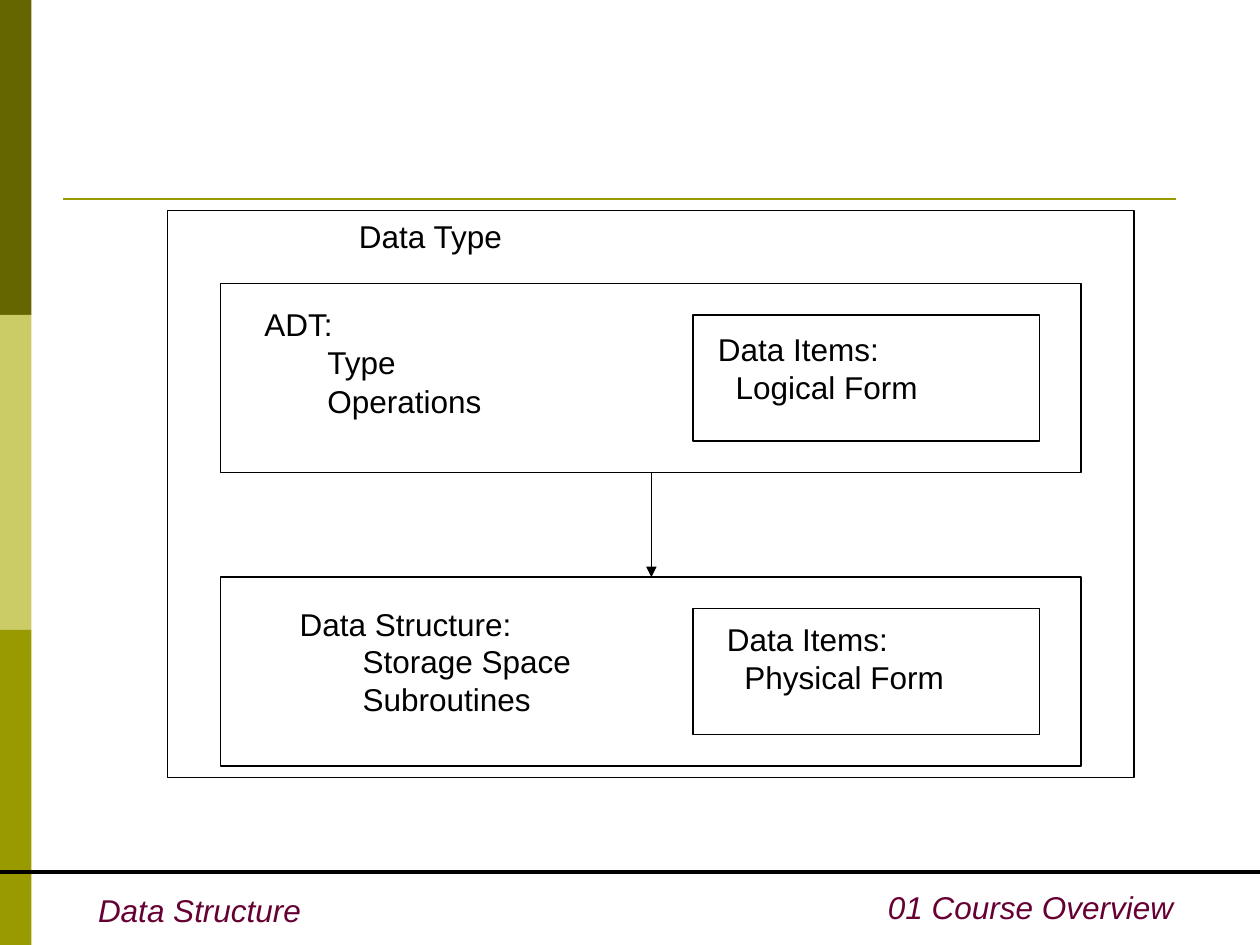
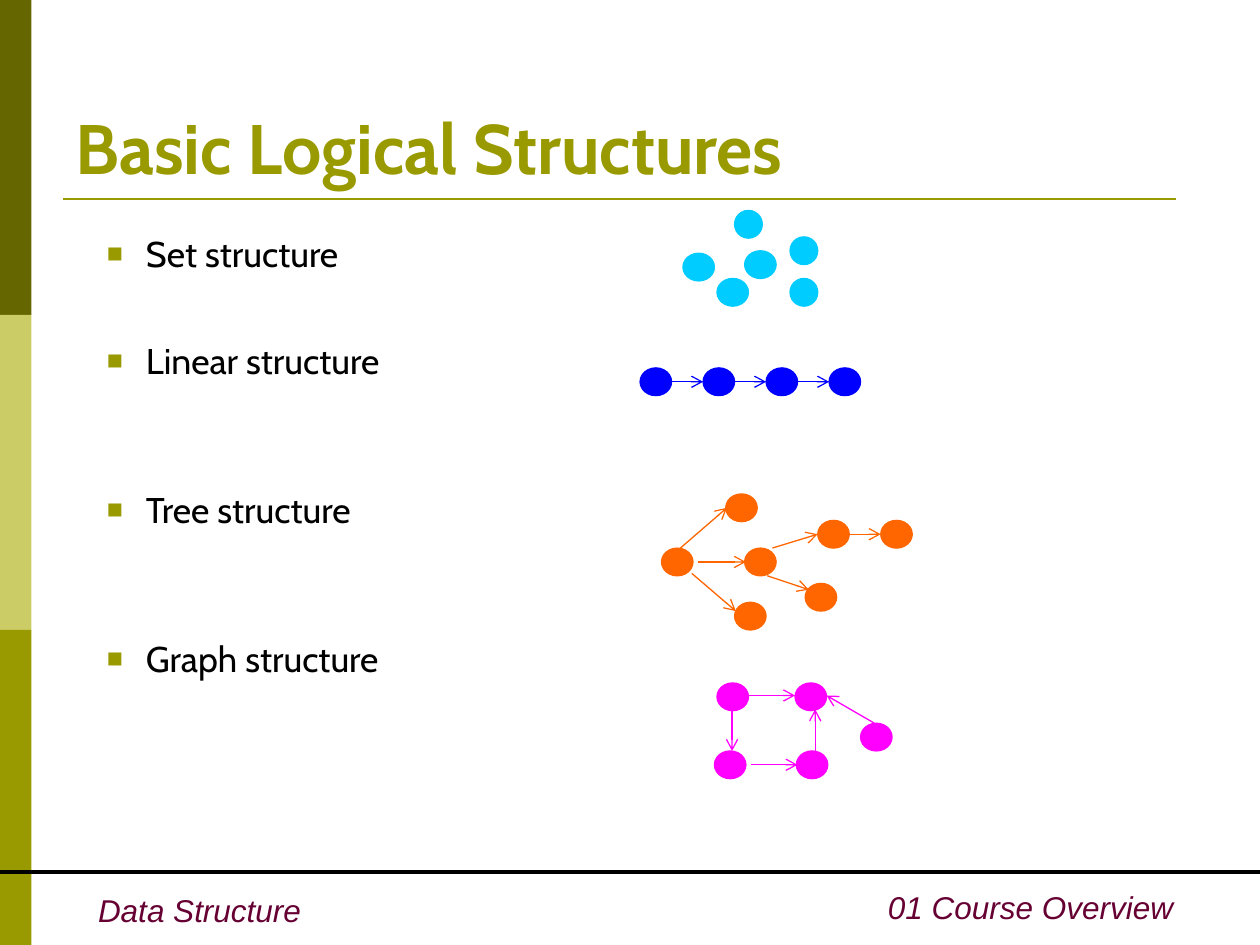
import pptx
import pptx.util
import pptx.dml.color
import pptx.enum.shapes
import pptx.enum.text
import pptx.oxml.ns
import lxml.etree

Inches = pptx.util.Inches
Pt = pptx.util.Pt
SHAPE = pptx.enum.shapes.MSO_SHAPE
ALIGN = pptx.enum.text.PP_ALIGN
qn = pptx.oxml.ns.qn

HUES = {
    "dark": "666600", "pale": "CCCC66", "olive": "999900",
    "wine": "660033", "black": "000000", "cyan": "00CCFF",
    "blue": "0000FF", "orange": "FF6600", "pink": "FF00FF",
}
SANS, HEAD = "Arial", "Cabin"

BANDS = ["dark", "pale", "olive"]
RULES = [((0.5, 1.58), (9.33, 1.58), "olive", 1.5),
         ((0, 6.92), (10, 6.92), "black", 2.25)]
FOOTS = [("Data Structure", (0.68, 7.02, 1.9, 0.4), ALIGN.LEFT),
         ("01 Course Overview", (5.24, 7, 4.17, 0.4), ALIGN.RIGHT)]

FRAMES = [(1.33, 1.67, 7.67, 4.5)]
for top in (2.25, 4.58):
    FRAMES += [(1.75, top, 6.83, 1.5), (5.5, top + 0.25, 2.75, 1)]
FLOW = ((5.17, 3.75), (5.17, 4.58))
NOTES = [
    ((2.75, 1.67, 4.67, 0.4), ["Data Type"], 0, 1, 0),
    ((2, 2.5, 2.75, 0.87), ["ADT:", "Type", "Operations"], 0.5, 0.5, 11.2),
    ((5.6, 2.7, 2.74, 0.56), ["Data Items:", "Logical Form"], 0.14, 0.5, 11.2),
    ((5.67, 5, 2.75, 0.56), ["Data Items:", "Physical Form"], 0.14, 0.5, 11.2),
    ((2.28, 4.75, 2.4, 1),
     ["Data Structure:", "Storage Space", "Subroutines"], 0.5, 1, 0),
]

TITLE = "Basic Logical Structures"
KINDS = [("Set structure", 0), ("Linear structure", 36.5),
         ("Tree structure", 61), ("Graph structure", 60.5)]
DOT = (0.25, 0.22)
CHAIN = [5.08 + 0.5 * i for i in range(4)]
GRAPHS = [
    ("blue", [(x, 2.92) for x in CHAIN],
     [((x + DOT[0], 3.03), (x + 0.5, 3.03)) for x in CHAIN[:-1]]),
    ("orange",
     [(5.25, 4.35), (5.76, 3.92), (5.91, 4.35), (5.83, 4.78),
      (6.49, 4.13), (6.39, 4.63), (6.99, 4.13)],
     [((5.54, 4.46), (5.92, 4.46)), ((5.4, 4.35), (5.77, 4.03)),
      ((5.49, 4.55), (5.84, 4.85)), ((6.13, 4.35), (6.49, 4.24)),
      ((6.09, 4.57), (6.42, 4.68)), ((6.74, 4.24), (6.99, 4.24))]),
    ("pink",
     [(5.67, 5.96), (5.69, 5.42), (6.32, 5.96), (6.31, 5.42), (6.83, 5.74)],
     [((5.96, 6.07), (6.33, 6.07)), ((5.94, 5.52), (6.31, 5.52)),
      ((5.81, 5.63), (5.81, 5.96)), ((6.47, 5.96), (6.47, 5.63)),
      ((6.94, 5.74), (6.56, 5.52))]),
    ("cyan",
     [(5.91, 1.99), (5.69, 2.21), (5.42, 2.01),
      (6.27, 2.21, 0.22), (6.27, 1.88, 0.22), (5.83, 1.67, 0.22)], []),
]


def tint(hue):
    return pptx.dml.color.RGBColor.from_string(HUES[hue])


def place(rect):
    return [Inches(v) for v in rect]


def draw(home, kind, rect, fill=None, edge=None):
    shape = home.add_shape(kind, *place(rect))
    shape.shadow.inherit = False
    if fill:
        shape.fill.solid()
        shape.fill.fore_color.rgb = tint(fill)
    else:
        shape.fill.background()
    if edge:
        shape.line.color.rgb = tint(edge)
        shape.line.width = Pt(0.75)
    else:
        shape.line.fill.background()


def link(home, start, end, hue, width=0.75, tip=None):
    line = home.add_connector(pptx.enum.shapes.MSO_CONNECTOR.STRAIGHT,
                              *place(start + end))
    line.line.color.rgb = tint(hue)
    line.line.width = Pt(width)
    if tip:
        lxml.etree.SubElement(line.line._get_or_add_ln(), qn("a:tailEnd"), type=tip)
    lxml.etree.SubElement(line._element.spPr, qn("a:effectLst"))


def write(para, text, size, hue="black", face=SANS, bold=False, slant=False):
    run = para.add_run()
    run.text = text
    font = run.font
    font.size, font.name, font.bold, font.italic = Pt(size), face, bold, slant
    font.color.rgb = tint(hue)


def panel(slide, rect):
    frame = slide.shapes.add_textbox(*place(rect)).text_frame
    frame.word_wrap = True
    return frame


def lines(frame, items):
    for i, item in enumerate(items):
        yield i, frame.add_paragraph() if i else frame.paragraphs[0], item


def indent(para, left, hang=0):
    props = para._p.get_or_add_pPr()
    props.set("marL", str(Inches(left)))
    props.set("indent", str(-Inches(hang)))
    return props


def bullet(para):
    props = indent(para, 0.81, 0.31)
    color = lxml.etree.SubElement(props, qn("a:buClr"))
    lxml.etree.SubElement(color, qn("a:srgbClr"), val=HUES["olive"])
    lxml.etree.SubElement(props, qn("a:buSzPct"), val="75000")
    lxml.etree.SubElement(props, qn("a:buFont"), typeface=SANS)
    lxml.etree.SubElement(props, qn("a:buChar"), char="■")


def start(deck, layout):
    slide = deck.slides.add_slide(deck.slide_layouts.get_by_name(layout))
    for i, hue in enumerate(BANDS):
        draw(slide.shapes, SHAPE.RECTANGLE, (0, 2.5 * i, 0.25, 2.5), hue)
    for rule in RULES:
        link(slide.shapes, *rule)
    for text, rect, align in FOOTS:
        para = panel(slide, rect).paragraphs[0]
        para.alignment = align
        write(para, text, 18, "wine", slant=True)
    return slide


def types(deck):
    slide = start(deck, "Blank")
    for rect in FRAMES:
        draw(slide.shapes, SHAPE.RECTANGLE, rect, edge="black")
    link(slide.shapes, *FLOW, "black", tip="triangle")
    for rect, texts, step, pitch, gap in NOTES:
        for i, para, text in lines(panel(slide, rect), texts):
            para.line_spacing = pitch
            if i:
                indent(para, step)
                para.space_before = Pt(gap)
            write(para, text, 18)


def kinds(deck):
    slide = start(deck, "Title Only")
    title = slide.shapes.title
    title.left, title.top, title.width, title.height = place((0.5, 0.3, 9, 1.25))
    frame = title.text_frame
    frame.auto_size = pptx.enum.text.MSO_AUTO_SIZE.NONE
    frame.vertical_anchor = pptx.enum.text.MSO_ANCHOR.BOTTOM
    frame.paragraphs[0].alignment = ALIGN.LEFT
    write(frame.paragraphs[0], TITLE, 40, "olive", HEAD, bold=True)

    for i, para, (text, gap) in lines(panel(slide, (0.25, 1.79, 4.5, 3.9)), KINDS):
        bullet(para)
        para.space_before = Pt(gap)
        write(para, text, 20.4, face=HEAD)

    for hue, nodes, edges in GRAPHS:
        group = slide.shapes.add_group_shape().shapes
        for x, y, *wide in nodes:
            size = (wide[0] if wide else DOT[0], DOT[1])
            draw(group, SHAPE.OVAL, (x, y) + size, hue, hue)
        for tail, head in edges:
            link(group, tail, head, hue, tip="arrow")


def main():
    deck = pptx.Presentation()
    deck.slide_width, deck.slide_height = Inches(10), Inches(7.5)
    types(deck)
    kinds(deck)
    deck.save("out.pptx")


if __name__ == "__main__":
    main()
